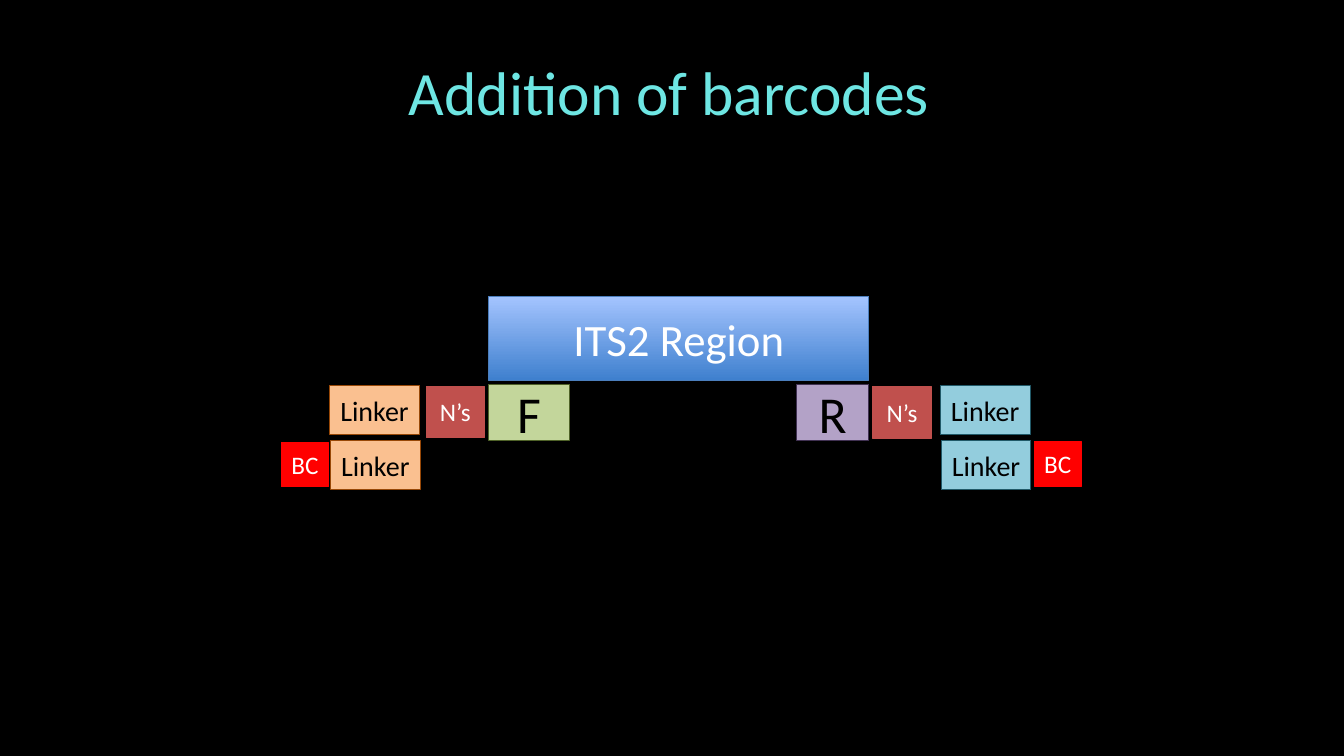
import pptx
import pptx.dml.color
import pptx.enum.shapes
import pptx.enum.text
import pptx.util

Cm = pptx.util.Cm
Pt = pptx.util.Pt

# Content
TITLE = "Addition of barcodes"
TITLE_FRAME = (5.44, 0.69, 22.86, 3.18)
FONT = "Calibri"

# Kind of part: text, width, height (cm), font size, text colour
KINDS = {
    "region": ("ITS2 Region", 9.58, 2.11, 32, "FFFFFF"),
    "forward": ("F", 2.03, 1.42, 37, "000000"),
    "reverse": ("R", 1.83, 1.42, 37, "000000"),
    "spacer": ("N’s", 1.47, 1.3, 18, "FFFFFF"),
    "linker": ("Linker", 2.26, 1.24, 20, "000000"),
    "barcode": ("BC", 1.19, 1.12, 18, "FFFFFF"),
}
# Palette: fill colours (two make a gradient from the bottom up), line colour
PALETTE = {
    "blue": (("3F80CE", "A4C4FF"), "4B7EBC"),
    "purple": (("B3A2C7",), "403152"),
    "green": (("C3D69B",), "4F6228"),
    "brick": (("C0504D",), "C0504D"),
    "orange": (("FAC090",), "984807"),
    "teal": (("93CDDD",), "215968"),
    "red": (("FF0000",), "FF0000"),
}
# Kind, palette, left, top (cm)
PARTS = [
    ("region", "blue", 12.32, 7.47),
    ("reverse", "purple", 20.07, 9.68),
    ("forward", "green", 12.32, 9.68),
    ("spacer", "brick", 10.74, 9.73),
    ("linker", "orange", 8.31, 9.71),
    ("linker", "teal", 23.7, 9.72),
    ("barcode", "red", 7.09, 11.15),
    ("spacer", "brick", 22.0, 9.75),
    ("linker", "orange", 8.33, 11.1),
    ("linker", "teal", 23.72, 11.1),
    ("barcode", "red", 26.06, 11.13),
]


def color(value):
    return pptx.dml.color.RGBColor.from_string(value)


def write(box, text, size, text_color):
    frame = box.text_frame
    frame_format = {
        "word_wrap": True,
        "vertical_anchor": pptx.enum.text.MSO_ANCHOR.MIDDLE,
        "margin_left": 0,
        "margin_right": 0,
    }
    for name, value in frame_format.items():
        setattr(frame, name, value)
    para = frame.paragraphs[0]
    para.alignment = pptx.enum.text.PP_ALIGN.CENTER
    span = para.add_run()
    span.text = text
    for name, value in {"name": FONT, "size": Pt(size)}.items():
        setattr(span.font, name, value)
    span.font.color.rgb = color(text_color)


def paint(box, fills, line):
    if len(fills) > 1:
        box.fill.gradient()
        box.fill.gradient_angle = 90
        for stop, value in zip(box.fill.gradient_stops, fills):
            stop.color.rgb = color(value)
    else:
        box.fill.solid()
        box.fill.fore_color.rgb = color(fills[0])
    box.line.color.rgb = color(line)
    box.line.width = Pt(0.75)
    box.shadow.inherit = False


# Deck and black page
deck = pptx.Presentation()
deck.slide_width, deck.slide_height = Cm(33.87), Cm(19.05)
page = deck.slides.add_slide(deck.slide_layouts[5])
page.background.fill.solid()
page.background.fill.fore_color.rgb = color("000000")

# Title
title = page.shapes.title
for side, length in zip(("left", "top", "width", "height"), TITLE_FRAME):
    setattr(title, side, Cm(length))
write(title, TITLE, 44, "6EE6E3")

# Region, primers, spacers, linkers and barcodes
for kind, palette, left, top in PARTS:
    text, width, height, size, text_color = KINDS[kind]
    box = page.shapes.add_shape(
        pptx.enum.shapes.MSO_SHAPE.RECTANGLE,
        Cm(left), Cm(top), Cm(width), Cm(height),
    )
    paint(box, *PALETTE[palette])
    write(box, text, size, text_color)

deck.save("out.pptx")
